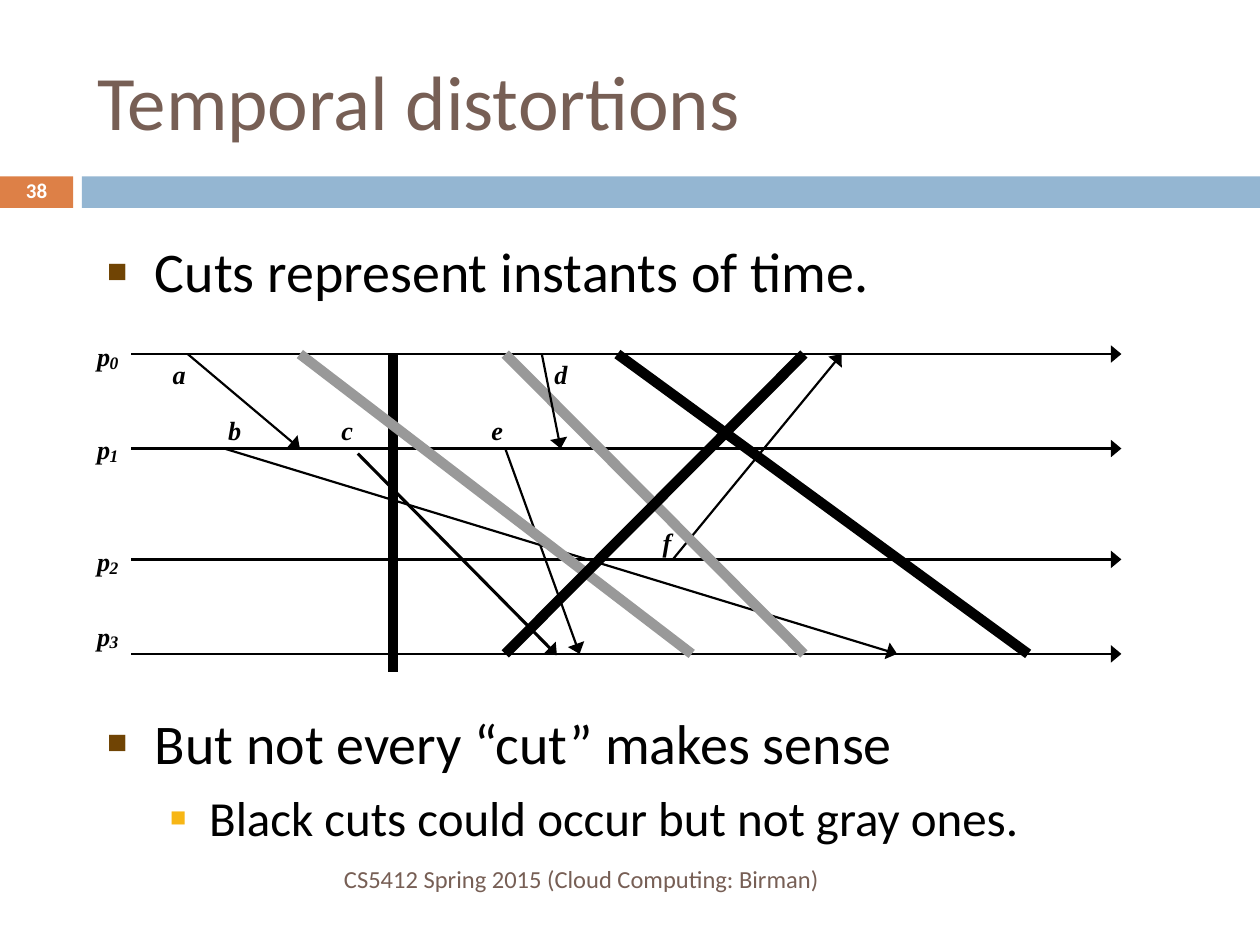
from lxml import etree
from pptx import Presentation
from pptx.dml.color import RGBColor
from pptx.enum.shapes import MSO_CONNECTOR, MSO_SHAPE
from pptx.enum.text import MSO_ANCHOR, MSO_AUTO_SIZE, PP_ALIGN
from pptx.oxml.ns import qn
from pptx.util import Inches, Pt

LEFT, CENTER, RIGHT = PP_ALIGN.LEFT, PP_ALIGN.CENTER, PP_ALIGN.RIGHT
TOP, MIDDLE = MSO_ANCHOR.TOP, MSO_ANCHOR.MIDDLE
RECT, STRAIGHT = MSO_SHAPE.RECTANGLE, MSO_CONNECTOR.STRAIGHT
NO_FIT = MSO_AUTO_SIZE.NONE
BLACK = RGBColor(0x00, 0x00, 0x00)
WHITE = RGBColor(0xFF, 0xFF, 0xFF)
GRAY = RGBColor(0x99, 0x99, 0x99)
BROWN = RGBColor(0x77, 0x5F, 0x55)
ORANGE = RGBColor(0xDD, 0x80, 0x47)
BLUE = RGBColor(0x94, 0xB6, 0xD2)
DARK_BULLET = RGBColor(0x70, 0x44, 0x04)
GOLD_BULLET = RGBColor(0xF7, 0xB6, 0x15)

prs = Presentation()
prs.slide_width, prs.slide_height = Inches(10), Inches(7.5)
s = prs.slides.add_slide(prs.slide_layouts[1])


def add_text(text, left, top, width, height, size=15, font="Times New Roman", color=BLACK,
             bold=True, italic=True, align=LEFT, anchor=TOP, inset=(0, 0), wrap=False,
             spacing=None, sp=None):
    sp = sp or s.shapes.add_textbox(0, 0, 0, 0)
    sp.left, sp.top, sp.width, sp.height = (Inches(v) for v in (left, top, width, height))
    tf = sp.text_frame
    tf.auto_size, tf.word_wrap, tf.vertical_anchor = NO_FIT, wrap, anchor
    tf.margin_left = tf.margin_right = Inches(inset[0])
    tf.margin_top = tf.margin_bottom = Inches(inset[1])
    p = tf.paragraphs[0]
    p.alignment, p.line_spacing = align, spacing
    r = p.add_run()
    r.text = text
    r.font.name, r.font.size, r.font.color.rgb = font, Pt(size), color
    r.font.bold, r.font.italic = bold, italic


def add_line(x1, y1, x2, y2, color, width, arrow):
    sp = s.shapes.add_connector(STRAIGHT, Inches(x1), Inches(y1), Inches(x2), Inches(y2))
    sp.line.color.rgb, sp.line.width = color, Pt(width)
    if arrow:
        etree.SubElement(sp.line._get_or_add_ln(), qn("a:tailEnd"), type="triangle", w="lg", len="med")
    etree.SubElement(sp._element.spPr, qn("a:effectLst"))


plain = dict(font="Calibri", bold=False, italic=False, anchor=MIDDLE, inset=(0.1, 0.05), wrap=True)
add_text("Temporal distortions", 0.67, 0.25, 8.92, 1.08, size=44, color=BROWN,
         sp=s.shapes.title, **plain)

body = s.placeholders[1]
body.left, body.top, body.width, body.height = Inches(0.75), Inches(1.83), Inches(8.5), Inches(4.5)
tf = body.text_frame
tf.auto_size, tf.word_wrap, tf.vertical_anchor = NO_FIT, True, TOP
bullets = [
    ("Cuts represent instants of time.", 0, 32, 0, 0.38, 0.38, DARK_BULLET, 60),
    ("But not every “cut” makes sense", 0, 32, 231, 0.38, 0.38, DARK_BULLET, 60),
    ("Black cuts could occur but not gray ones.", 1, 28, 7, 0.81, 0.31, GOLD_BULLET, 55),
]
for i, (text, level, size, before, margin, hang, color, percent) in enumerate(bullets):
    p = tf.paragraphs[0] if i == 0 else tf.add_paragraph()
    p.level, p.alignment, p.space_before = level, LEFT, Pt(before)
    pPr = p._p.get_or_add_pPr()
    pPr.set("marL", str(Inches(margin)))
    pPr.set("indent", str(-Inches(hang)))
    etree.SubElement(etree.SubElement(pPr, qn("a:buClr")), qn("a:srgbClr"), val=str(color))
    etree.SubElement(pPr, qn("a:buSzPct"), val=str(percent * 1000))
    etree.SubElement(pPr, qn("a:buChar"), char="■")
    r = p.add_run()
    r.text = text
    r.font.name, r.font.size, r.font.color.rgb = "Calibri", Pt(size), BLACK

for left, top, width, height, color in [
    (0, 1.4, 0.58, 0.25, ORANGE),
    (0.65, 1.4, 9.35, 0.25, BLUE),
    (0.75, 2.67, 8.17, 2.58, WHITE),
]:
    sp = s.shapes.add_shape(RECT, Inches(left), Inches(top), Inches(width), Inches(height))
    sp.shadow.inherit = False
    sp.fill.solid()
    sp.fill.fore_color.rgb = color
    sp.line.fill.background()

Y0, Y1, Y2, Y3 = 2.81, 3.56, 4.44, 5.19
for i, (y, label_top) in enumerate([(Y0, 2.7), (Y1, 3.44), (Y2, 4.33), (Y3, 4.92)]):
    add_line(1.04, y, 8.9, y, BLACK, 1.25, True)
    add_text("p", 0.77, label_top, 0.11, 0.25)
    add_text(str(i), 0.87, label_top + 0.09, 0.07, 0.17, size=10)

for text, left, top in [("a", 1.37, 2.84), ("b", 1.81, 3.29), ("c", 2.71, 3.29),
                        ("d", 4.4, 2.84), ("e", 3.9, 3.29), ("f", 5.26, 4.18)]:
    add_text(text, left, top, 0.11, 0.25)

message, black_cut, gray_cut = (BLACK, 1.25, True), (BLACK, 5.87, False), (GRAY, 5.87, False)
for x1, y1, x2, y2, style in [
    (1.49, Y0, 2.38, Y1, message),
    (1.78, Y1, 7.12, Y3, message),
    (5.34, Y2, 6.68, Y0, message),
    (3.12, Y0, 3.12, 5.33, black_cut),
    (4.9, Y0, 8.16, Y3, black_cut),
    (4.01, Y0, 6.38, Y3, gray_cut),
    (4.3, Y0, 4.45, Y1, message),
    (4.01, Y1, 4.6, Y3, message),
    (2.38, Y0, 5.49, Y3, gray_cut),
    (4.01, Y3, 6.38, Y0, black_cut),
    (2.84, 3.6, 4.42, 5.2, (BLACK, 1.75, True)),
]:
    add_line(x1, y1, x2, y2, *style)

add_text("CS5412 Spring 2015 (Cloud Computing: Birman)", 0.67, 6.77, 5.93, 0.4,
         size=14, color=BROWN, align=RIGHT, **plain)
add_text("38", 0, 1.39, 0.58, 0.27, size=12, color=WHITE, align=CENTER, spacing=0.8,
         **{**plain, "bold": True})

prs.save("out.pptx")
